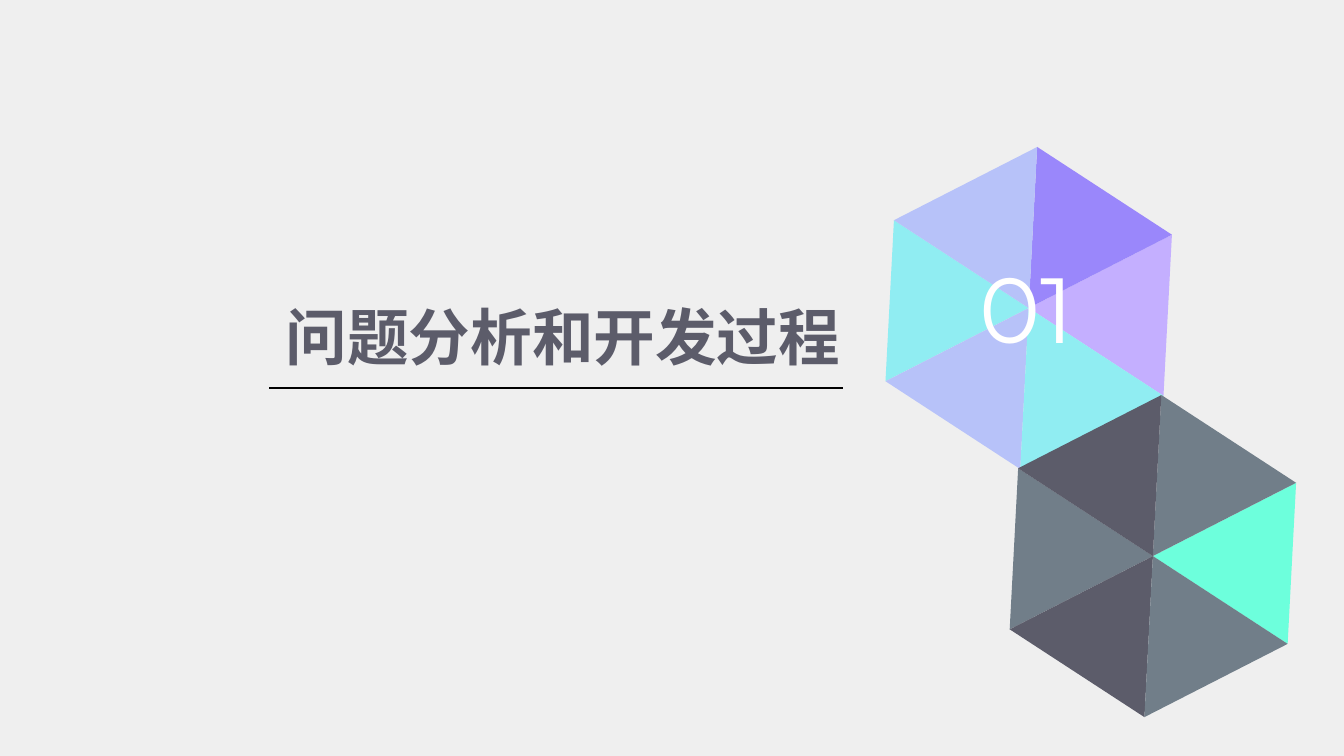
import math

import pptx
import pptx.dml.color
import pptx.enum.shapes
import pptx.enum.text
import pptx.oxml
import pptx.oxml.ns
import pptx.util
from lxml import etree

Pt = pptx.util.Pt
RGB = pptx.dml.color.RGBColor
ALIGN = pptx.enum.text.PP_ALIGN
ANCHOR = pptx.enum.text.MSO_ANCHOR

PAPER = RGB(0xEF, 0xEF, 0xEF)
INK = RGB(0x5C, 0x5C, 0x6A)
SLATE = RGB(0x71, 0x7E, 0x89)
MINT = RGB(0x6D, 0xFF, 0xDC)
AQUA = RGB(0x90, 0xED, 0xF2)
LILAC = RGB(0xC4, 0xAF, 0xFF)
VIOLET = RGB(0x9A, 0x87, 0xFB)
PERIWINKLE = RGB(0xB7, 0xC2, 0xF9)
WHITE = RGB(0xFF, 0xFF, 0xFF)
BLACK = RGB(0, 0, 0)

SIDE, DEPTH = 115.2, 99.4  # base and height of one triangle
TILT = 3  # degrees clockwise

# Facets by (column, row): -1 is left or upper, 1 is right or lower
BRIGHT = {(-1, 0): AQUA, (1, 0): LILAC, (1, -1): VIOLET,
          (-1, -1): PERIWINKLE, (-1, 1): PERIWINKLE, (1, 1): AQUA}
DARK = {(-1, 0): SLATE, (1, 0): MINT, (1, -1): SLATE,
        (-1, -1): INK, (-1, 1): INK, (1, 1): SLATE}


def add_hexagon(s, cx, cy, facets):
    """Six triangles around a centre, all turned by the tilt."""
    cos, sin = math.cos(math.radians(TILT)), math.sin(math.radians(TILT))
    for (col, row), color in facets.items():
        dx, dy = col * DEPTH / 2, row * SIDE / 2
        x = cx + dx * cos - dy * sin
        y = cy + dx * sin + dy * cos
        sp = s.shapes.add_shape(
            pptx.enum.shapes.MSO_SHAPE.ISOSCELES_TRIANGLE,
            Pt(x - SIDE / 2), Pt(y - DEPTH / 2), Pt(SIDE), Pt(DEPTH))
        points_right = (col < 0) == (row == 0)
        sp.rotation = TILT + (90 if points_right else 270)
        sp.shadow.inherit = False
        sp.fill.solid()
        sp.fill.fore_color.rgb = color
        sp.line.fill.background()


def write_text(sp, text, font, size, color, align, anchor, bold=False):
    tf = sp.text_frame
    tf.word_wrap = True
    tf.auto_size = pptx.enum.text.MSO_AUTO_SIZE.SHAPE_TO_FIT_TEXT
    tf.vertical_anchor = anchor
    p = tf.paragraphs[0]
    p.alignment = align
    r = p.add_run()
    r.text = text
    r.font.name, r.font.size, r.font.bold = font, Pt(size), bold
    r.font.color.rgb = color
    # East Asian glyphs use the same typeface
    ea = etree.SubElement(r.font._element, pptx.oxml.ns.qn("a:ea"))
    ea.set("typeface", font)


def add_rule(s, x1, x2, y):
    line = s.shapes.add_connector(
        pptx.enum.shapes.MSO_CONNECTOR.STRAIGHT, Pt(x1), Pt(y), Pt(x2), Pt(y))
    line.line.color.rgb = BLACK
    line.line.width = Pt(1.5)
    etree.SubElement(line._element.spPr, pptx.oxml.ns.qn("a:effectLst"))


def main():
    prs = pptx.Presentation()
    prs.slide_width, prs.slide_height = Pt(960), Pt(540)
    s = prs.slides.add_slide(prs.slide_layouts[5])
    s.background.fill.solid()
    s.background.fill.fore_color.rgb = PAPER

    # Hexagons with the section number
    add_hexagon(s, 734.8, 220, BRIGHT)
    add_hexagon(s, 823.5, 397.2, DARK)
    number = s.shapes.add_textbox(Pt(659.5), Pt(175.7), Pt(148.3), Pt(87.1))
    write_text(number, "01", "Montserrat", 66, WHITE, ALIGN.CENTER, ANCHOR.TOP)

    # Section title, underlined
    title = s.shapes.title
    title.left, title.top = Pt(136.1), Pt(209.5)
    title.width, title.height = Pt(471.6), Pt(60.5)
    write_text(title, "问题分析和开发过程", "Noto Sans CJK SC", 44, INK,
               ALIGN.RIGHT, ANCHOR.MIDDLE, bold=True)
    add_rule(s, 192.2, 601.9, 277.2)

    prs.save("out.pptx")


if __name__ == "__main__":
    main()
